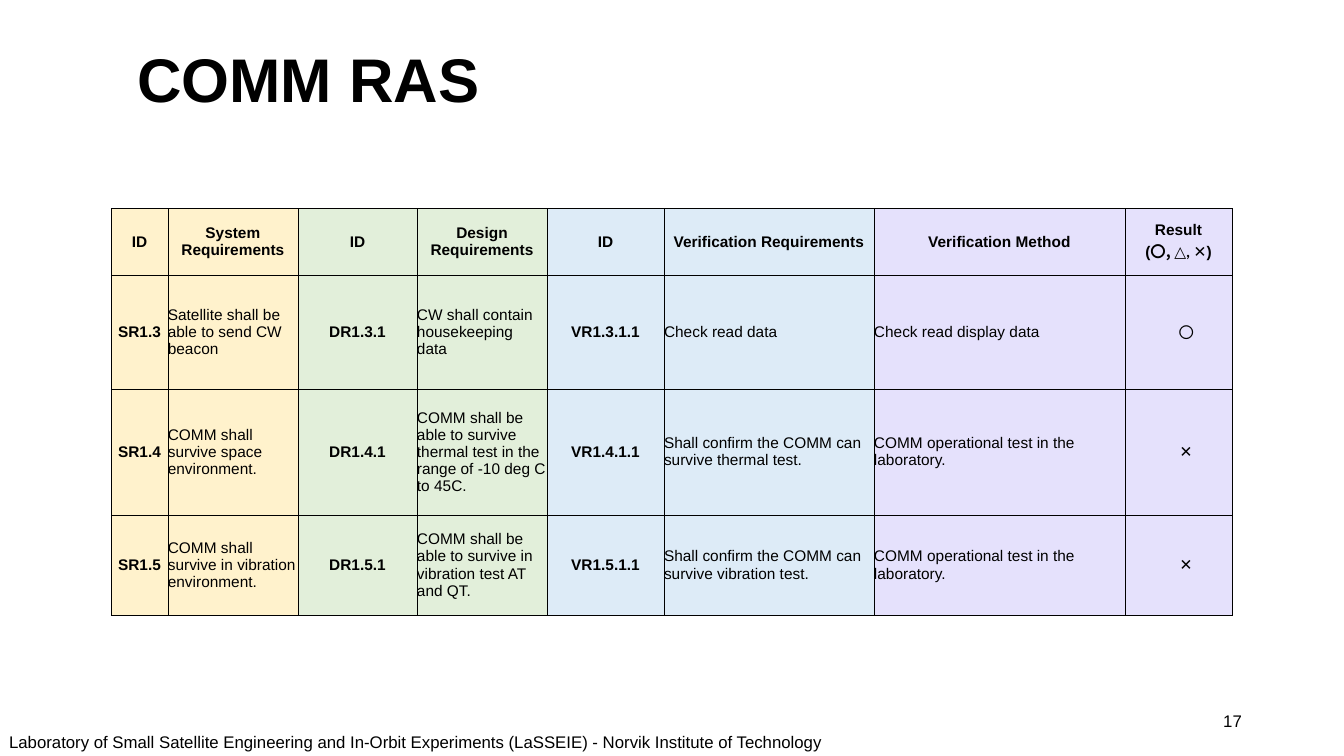
from lxml import etree
from pptx import Presentation
from pptx.dml.color import RGBColor
from pptx.enum import text
from pptx.oxml import ns
from pptx.util import Pt

BLACK = "000000"
YELLOW, GREEN, BLUE, VIOLET = "FFF2CC", "E2EFDA", "DDEBF7", "E5E1FC"
LEFT, CENTER, RIGHT = text.PP_ALIGN.LEFT, text.PP_ALIGN.CENTER, text.PP_ALIGN.RIGHT

# Column width and fill
COLUMNS = [(40.5, YELLOW), (93, YELLOW), (85, GREEN), (93, GREEN),
           (83.5, BLUE), (150, BLUE), (179.3, VIOLET), (76.5, VIOLET)]
ROW_HEIGHTS = [47.6, 81.4, 90, 71.6]
ID_COLUMNS = (0, 2, 4)
RESULT_COLUMN = 7

REQUIREMENTS = [
    ["ID", "System Requirements", "ID", "Design Requirements", "ID",
     "Verification Requirements", "Verification Method", "Result\v("],
    ["SR1.3", "Satellite shall be able to send CW beacon",
     "DR1.3.1", "CW shall contain housekeeping data",
     "VR1.3.1.1", "Check read data", "Check read display data", "〇"],
    ["SR1.4", "COMM shall survive space environment.",
     "DR1.4.1", "COMM shall be able to survive thermal test in the range of "
     "-10 deg C to 45C.",
     "VR1.4.1.1", "Shall confirm the COMM can survive thermal test.",
     "COMM operational test in the laboratory.", "✕"],
    ["SR1.5", "COMM shall survive in vibration environment.",
     "DR1.5.1", "COMM shall be able to survive in vibration test AT and QT.",
     "VR1.5.1.1", "Shall confirm the COMM can survive vibration test.",
     "COMM operational test in the laboratory.", "✕"],
]
RESULT_MARKS = [("〇, ", "Noto Sans CJK JP"), ("△, ✕", "Lato"), (")", "Arial")]


def color(hex_code):
    return RGBColor.from_string(hex_code)


def format_run(run, size, bold=False, font="Arial", symbol_font=None):
    run.font.size = Pt(size)
    run.font.bold = bold
    run.font.color.rgb = color(BLACK)
    run.font.name = font
    if symbol_font:
        east_asian = etree.SubElement(run.font._element, ns.qn("a:ea"))
        east_asian.set("typeface", symbol_font)


def format_paragraph(paragraph, size, bold=False, align=LEFT, symbol_font=None):
    paragraph.alignment = align
    for run in paragraph.runs:
        format_run(run, size, bold, symbol_font=symbol_font)


def add_title(slide, wording):
    title = slide.shapes.title
    title.left, title.top, title.width, title.height = Pt(90.7), Pt(28.8), Pt(803.5), Pt(59.8)
    title.text_frame.text = wording
    title.text_frame.auto_size = text.MSO_AUTO_SIZE.NONE
    title.text_frame.vertical_anchor = text.MSO_ANCHOR.MIDDLE
    heading = title.text_frame.paragraphs[0]
    heading.line_spacing = 0.9
    format_paragraph(heading, 44, bold=True)


def add_label(slide, wording, left, top, width, height, align=LEFT):
    frame = slide.shapes.add_textbox(Pt(left), Pt(top), Pt(width), Pt(height)).text_frame
    frame.word_wrap = True
    frame.text = wording
    format_paragraph(frame.paragraphs[0], 12, align=align)
    return frame


def add_borders(cell):
    properties = cell._tc.get_or_add_tcPr()
    for position, side in enumerate(("lnL", "lnR", "lnT", "lnB")):
        line = etree.Element(ns.qn(f"a:{side}"), w=str(Pt(0.5)))
        fill = etree.SubElement(line, ns.qn("a:solidFill"))
        etree.SubElement(fill, ns.qn("a:srgbClr"), val=BLACK)
        properties.insert(position, line)


def fill_cell(cell, wording, fill, bold, align, symbol_font=None):
    cell.margin_left = cell.margin_right = cell.margin_top = cell.margin_bottom = 0
    cell.vertical_anchor = text.MSO_ANCHOR.MIDDLE
    cell.fill.solid()
    cell.fill.fore_color.rgb = color(fill)
    cell.text_frame.text = wording
    format_paragraph(cell.text_frame.paragraphs[0], 11, bold, align, symbol_font)
    add_borders(cell)


def add_requirements_table(slide):
    widths = [width for width, _ in COLUMNS]
    table = slide.shapes.add_table(
        len(REQUIREMENTS), len(COLUMNS), Pt(79.4), Pt(148.9),
        Pt(sum(widths)), Pt(sum(ROW_HEIGHTS))).table
    for column, width in zip(table.columns, widths):
        column.width = Pt(width)
    for row, height in zip(table.rows, ROW_HEIGHTS):
        row.height = Pt(height)

    for r, entries in enumerate(REQUIREMENTS):
        for c, (entry, (_, fill)) in enumerate(zip(entries, COLUMNS)):
            is_header, is_result = r == 0, c == RESULT_COLUMN
            bold = is_header or c in ID_COLUMNS
            align = CENTER if bold or is_result else LEFT
            symbol_font = "Noto Sans CJK JP" if is_result else None
            fill_cell(table.cell(r, c), entry, fill, bold, align, symbol_font)
            if is_result and not is_header:
                table.cell(r, c).margin_left = Pt(11)

    # Legend of the result marks
    legend = table.cell(0, RESULT_COLUMN).text_frame.paragraphs[0]
    for mark, font in RESULT_MARKS:
        run = legend.add_run()
        run.text = mark
        format_run(run, 11, True, font, symbol_font=font)


def main():
    deck = Presentation()
    deck.slide_width, deck.slide_height = Pt(960), Pt(540)
    slide = deck.slides.add_slide(deck.slide_layouts[5])

    # Footer
    footer = add_label(
        slide, "Laboratory of Small Satellite Engineering and In-Orbit Experiments "
        "(LaSSEIE) - Norvik Institute of Technology", 6.5, 520.6, 620, 16.6)
    footer.margin_left = footer.margin_right = footer.margin_bottom = 0
    footer.margin_top = Pt(2.2)
    footer.paragraphs[0].space_before = Pt(1.9)

    # Title, page number and table
    add_title(slide, "COMM RAS")
    page = add_label(slide, "17", 678.2, 500.4, 216, 28.8, RIGHT)
    page.vertical_anchor = text.MSO_ANCHOR.MIDDLE
    add_requirements_table(slide)

    deck.save("out.pptx")


if __name__ == "__main__":
    main()
